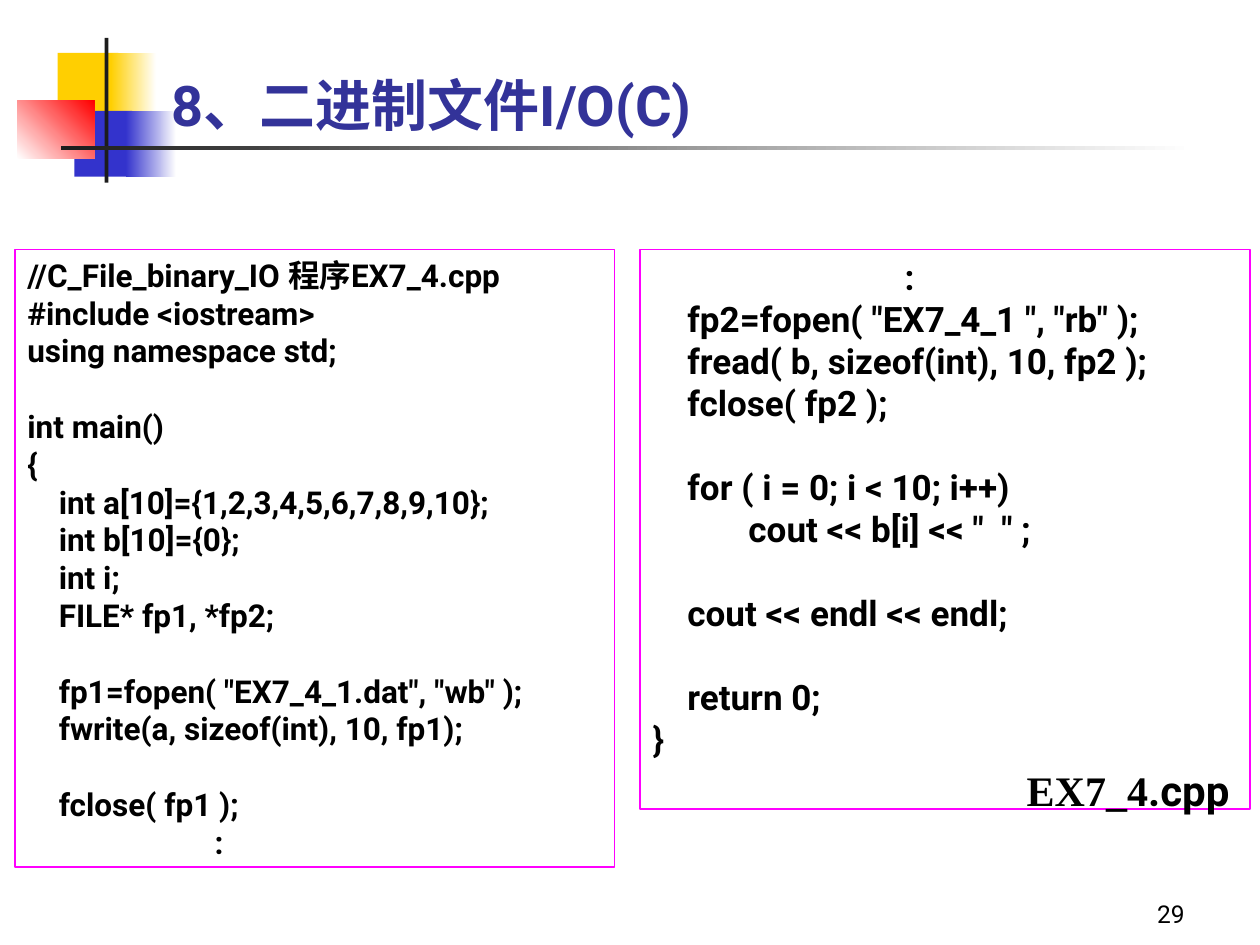
"""Build the slide on binary file I/O in C, with two code panels."""
from typing import NamedTuple, Optional

from pptx import Presentation
from pptx import util as u
from pptx.dml.color import RGBColor
from pptx.enum import shapes, text

GOLD = RGBColor(0xFF, 0xCF, 0x01)
BLUE = RGBColor(0x33, 0x33, 0xCC)
RED = RGBColor(0xFF, 0x00, 0x00)
DARK = RGBColor(0x1C, 0x1C, 0x1C)
WHITE = RGBColor(0xFF, 0xFF, 0xFF)
BLACK = RGBColor(0x00, 0x00, 0x00)
NAVY = RGBColor(0x33, 0x33, 0x99)
PINK = RGBColor(0xFF, 0x00, 0xFF)
SANS, SERIF = "Roboto", "Times New Roman"
LEADING = 1.2


class Box(NamedTuple):
    left: float
    top: float
    width: float
    height: float


class Block(NamedTuple):
    box: Box
    start: RGBColor
    end: Optional[RGBColor] = None
    angle: int = 0


class Label(NamedTuple):
    box: Box
    runs: tuple
    size: int
    color: RGBColor
    bold: bool
    frame: dict
    align: text.PP_ALIGN = text.PP_ALIGN.LEFT


class Panel(NamedTuple):
    box: Box
    code: str
    size: int
    indent: float


BLOCKS = (
    Block(Box(33, 30.2, 34.6, 37.5), GOLD),
    Block(Box(63.4, 30.2, 25.9, 37.5), GOLD, WHITE),
    Block(Box(42.5, 63.4, 33.1, 37.5), BLUE),
    Block(Box(72, 63.4, 28.8, 37.5), BLUE, WHITE),
    Block(Box(10, 57.6, 44, 33.1), WHITE, RED, 45),
    Block(Box(59.8, 21.6, 2.2, 82.8), DARK),
    Block(Box(34.6, 83.5, 648, 2.2), DARK, WHITE),
)

LOW = {"vertical_anchor": text.MSO_ANCHOR.BOTTOM, "word_wrap": True}
LABELS = (
    Label(Box(534.2, 498.2, 149.8, 36), (("29", SANS),), 14, BLACK, False,
          LOW, text.PP_ALIGN.RIGHT),
    Label(Box(90.7, 25.9, 613.4, 56.2), (("8、二进制文件I/O(C)", SANS),), 32,
          NAVY, True, LOW),
    Label(Box(579.6, 433.4, 133.2, 36), (("EX7_4", SERIF), (".cpp", SANS)),
          24, BLACK, True, {"word_wrap": False}),
)

WRITE = """\
//C_File_binary_IO 程序EX7_4.cpp
#include <iostream>
using namespace std;

int main()
{
    int a[10]={1,2,3,4,5,6,7,8,9,10};
    int b[10]={0};
    int i;
    FILE* fp1, *fp2;

    fp1=fopen( "EX7_4_1.dat", "wb" );
    fwrite(a, sizeof(int), 10, fp1);

    fclose( fp1 );
:"""

READ = """\
:
    fp2=fopen( "EX7_4_1 ", "rb" );
    fread( b, sizeof(int), 10, fp2 );
    fclose( fp2 );

    for ( i = 0; i < 10; i++)
           cout << b[i] << "  " ;

    cout << endl << endl;

    return 0;
}"""

PANELS = (
    Panel(Box(8.6, 142.6, 342.7, 352.8), WRITE, 18, 107),
    Panel(Box(365.8, 142.6, 348.5, 319.7), READ, 20, 144),
)


def points(box: Box) -> list:
    """Return the sides of a box as lengths."""
    return [u.Pt(side) for side in box]


def assign(item, values: dict) -> None:
    """Set each named value on an item."""
    for name, value in values.items():
        setattr(item, name, value)


def write(para, words: str, face: str, size: int, color: RGBColor,
          bold: bool) -> None:
    """Add a styled run to a paragraph."""
    run = para.add_run()
    run.text = words
    assign(run.font, {"name": face, "size": u.Pt(size), "bold": bold})
    run.font.color.rgb = color


def add_rect(slide, box: Box):
    """Add a rectangle without shadow."""
    rect = slide.shapes.add_shape(shapes.MSO_SHAPE.RECTANGLE, *points(box))
    rect.shadow.inherit = False
    return rect


def add_block(slide, block: Block) -> None:
    """Draw a plain or fading block of the emblem."""
    rect = add_rect(slide, block.box)
    rect.line.fill.background()
    if block.end is None:
        rect.fill.solid()
        rect.fill.fore_color.rgb = block.start
        return
    rect.fill.gradient()
    rect.fill.gradient_angle = block.angle
    for stop, color in zip(rect.fill.gradient_stops, (block.start, block.end)):
        stop.color.rgb = color


def add_label(slide, label: Label) -> None:
    """Draw one line of text."""
    frame = slide.shapes.add_textbox(*points(label.box)).text_frame
    assign(frame, label.frame)
    para = frame.paragraphs[0]
    para.alignment = label.align
    for words, face in label.runs:
        write(para, words, face, label.size, label.color, label.bold)


def add_panel(slide, panel: Panel) -> None:
    """Draw a framed listing, with empty lines as space before the next."""
    rect = add_rect(slide, panel.box)
    rect.fill.background()
    rect.line.color.rgb = PINK
    rect.line.width = u.Pt(0.75)
    frame = rect.text_frame
    assign(frame, {"vertical_anchor": text.MSO_ANCHOR.TOP, "word_wrap": True})
    para, gap = frame.paragraphs[0], 0
    for row, line in enumerate(panel.code.split("\n")):
        if not line:
            gap += panel.size * LEADING
            continue
        if row:
            para = frame.add_paragraph()
        para.alignment = text.PP_ALIGN.LEFT
        if gap:
            para.space_before = u.Pt(gap)
        if line == ":":
            para._p.get_or_add_pPr().set("marL", str(u.Pt(panel.indent)))
        write(para, line, SANS, panel.size, BLACK, True)
        gap = 0


def main() -> None:
    """Build and save the slide."""
    deck = Presentation()
    assign(deck, {"slide_width": u.Pt(720), "slide_height": u.Pt(540)})
    slide = deck.slides.add_slide(deck.slide_layouts[6])
    for draw, items in ((add_block, BLOCKS), (add_panel, PANELS),
                        (add_label, LABELS)):
        for item in items:
            draw(slide, item)
    deck.save("out.pptx")


if __name__ == "__main__":
    main()
